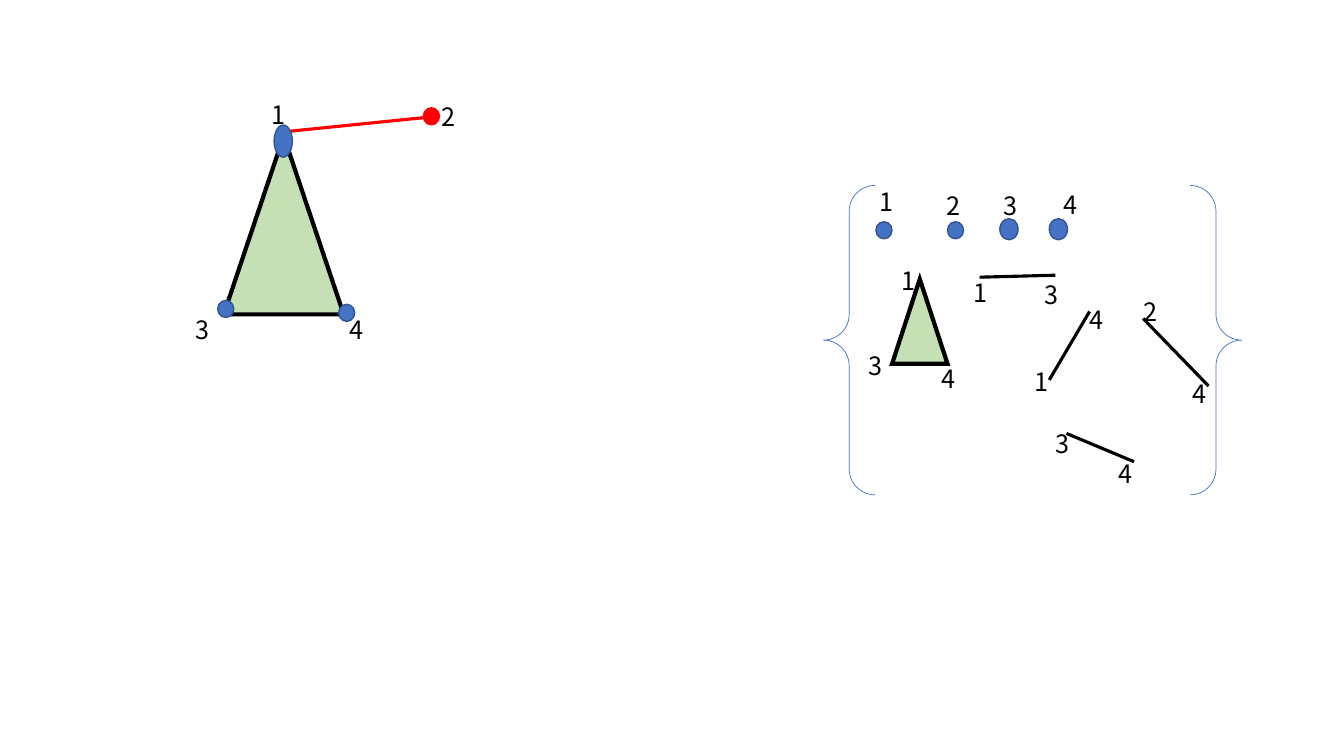
from dataclasses import dataclass

from lxml.etree import SubElement
from pptx import Presentation
from pptx.dml.color import RGBColor
from pptx.enum.shapes import MSO_CONNECTOR as Connector
from pptx.enum.shapes import MSO_SHAPE as Shape
from pptx.enum.text import MSO_AUTO_SIZE as AutoSize
from pptx.oxml.ns import qn
from pptx.util import Pt


@dataclass(frozen=True)
class Theme:
    font: str = "Noto Sans CJK SC"
    label_size: float = 18
    black: str = "000000"
    blue: str = "4472C4"
    dark_blue: str = "325491"
    green: str = "C5E0B4"
    red: str = "FF0000"


class ComplexDrawing:
    """Draws the parts of a simplicial complex on one slide, in points."""

    def __init__(self, slide, theme):
        self.slide = slide
        self.theme = theme

    def outline(self, line, color, width):
        line.color.rgb = RGBColor.from_string(color)
        line.width = Pt(width)

    def shape(self, kind, box, fill, line_color, line_width):
        shape = self.slide.shapes.add_shape(kind, *map(Pt, box))
        shape.shadow.inherit = False
        if fill:
            shape.fill.solid()
            shape.fill.fore_color.rgb = RGBColor.from_string(fill)
        else:
            shape.fill.background()
        self.outline(shape.line, line_color, line_width)
        return shape

    def braces(self, *box):
        self.shape(Shape.DOUBLE_BRACE, box, None, self.theme.blue, 0.5)

    def triangle(self, *box):
        triangle = self.shape(Shape.ISOSCELES_TRIANGLE, box,
                              self.theme.green, self.theme.black, 3)
        line = triangle.line._get_or_add_ln()
        SubElement(line, qn("a:miter"), lim="800000")

    def vertex(self, left, top, width=11.5, height=12.2):
        self.shape(Shape.OVAL, (left, top, width, height),
                   self.theme.blue, self.theme.dark_blue, 1)

    def red_vertex(self, left, top):
        self.shape(Shape.OVAL, (left, top, 11.5, 12.2),
                   self.theme.red, self.theme.red, 1)

    def edge(self, start, end, color=None):
        edge = self.slide.shapes.add_connector(
            Connector.STRAIGHT, *map(Pt, (*start, *end)))
        self.outline(edge.line, color or self.theme.black, 2.25)
        SubElement(edge._element.spPr, qn("a:effectLst"))

    def label(self, text, left, top):
        box = self.slide.shapes.add_textbox(Pt(left), Pt(top), Pt(31), Pt(29))
        frame = box.text_frame
        frame.word_wrap = True
        frame.auto_size = AutoSize.SHAPE_TO_FIT_TEXT
        run = frame.paragraphs[0].add_run()
        run.text = text
        run.font.name = self.theme.font
        run.font.size = Pt(self.theme.label_size)
        run.font.color.rgb = RGBColor.from_string(self.theme.black)

    def labels(self, *items):
        for item in items:
            self.label(*item)


def draw_simplex_set(drawing):
    drawing.braces(588.2, 132.5, 298.8, 221)

    for left in (625.7, 676.8):
        drawing.vertex(left, 158.4)
    for left in (714.2, 749.5):
        drawing.vertex(left, 156.2, 13, 15.1)
    drawing.labels(("1", 621.4, 129.6), ("2", 668.9, 132.5),
                   ("3", 709.9, 132.5), ("4", 752.4, 131.8))

    drawing.triangle(637.2, 199.4, 39.6, 60.5)
    drawing.labels(("1", 637.2, 185.8), ("3", 613.4, 247), ("4", 665.3, 256.3))

    edges = [
        ((699.8, 198), (753.8, 196.6), ("1", 688.3, 194.4), ("3", 738.7, 195.8)),
        ((749.5, 271.4), (778.3, 222.5), ("1", 732.2, 257.8), ("4", 771.1, 213.8)),
        ((816.5, 227.5), (863.3, 275.8), ("2", 810, 208.1), ("4", 844.6, 266.4)),
        ((761.8, 309.6), (810, 329.8), ("3", 746.6, 302.4), ("4", 792, 324)),
    ]
    for start, end, *end_labels in edges:
        drawing.edge(start, end)
        drawing.labels(*end_labels)


def draw_complex(drawing):
    drawing.triangle(159.8, 97.2, 85.7, 127.4)
    drawing.labels(("1", 187.2, 67.7), ("3", 132.5, 221),
                   ("4", 242.6, 221), ("2", 308.2, 69.1))
    drawing.edge((201.6, 94.3), (308.2, 83.5), drawing.theme.red)
    drawing.vertex(195.8, 89.3, 13, 23)
    drawing.vertex(155.5, 214.6)
    drawing.vertex(241.9, 217.4)
    drawing.red_vertex(302.4, 77)


def main():
    presentation = Presentation()
    presentation.slide_width = Pt(960)
    presentation.slide_height = Pt(540)
    slide = presentation.slides.add_slide(presentation.slide_layouts[6])
    drawing = ComplexDrawing(slide, Theme())
    draw_simplex_set(drawing)
    draw_complex(drawing)
    presentation.save("out.pptx")


if __name__ == "__main__":
    main()
